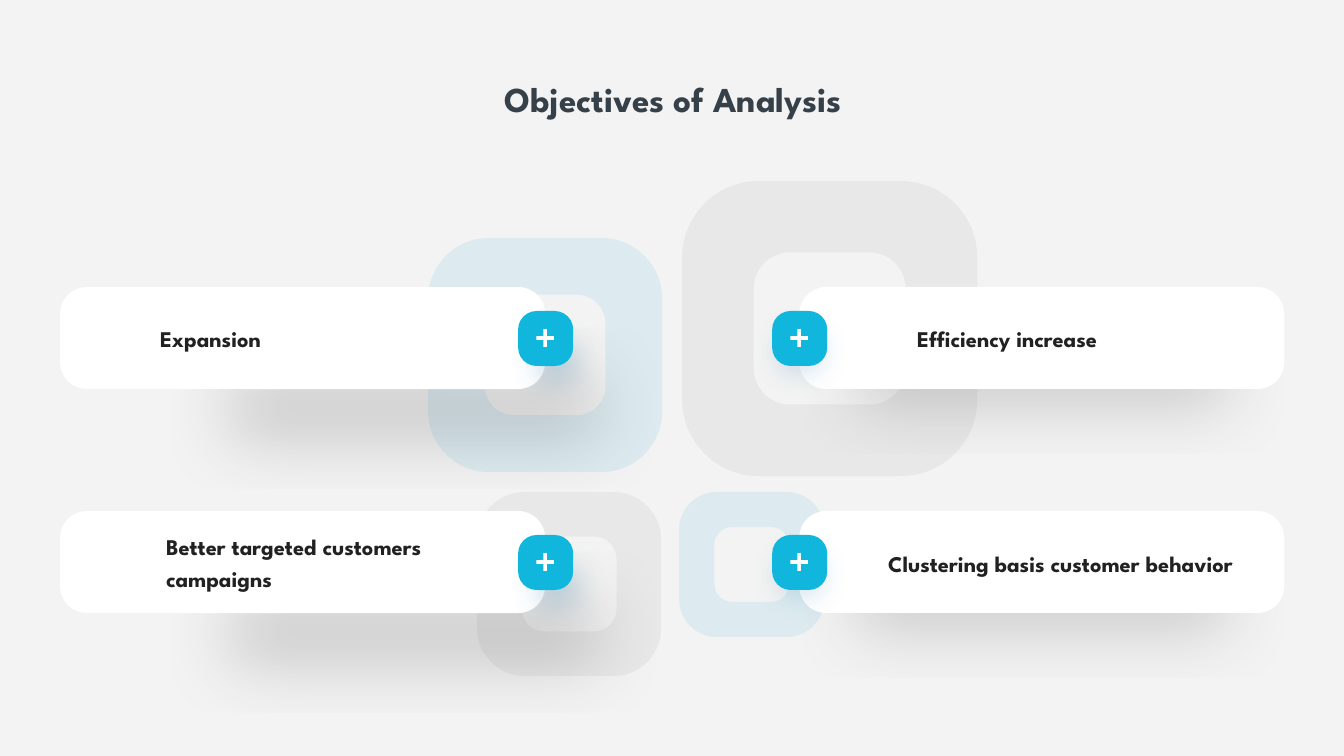
from lxml.etree import SubElement
from pptx import Presentation
from pptx.dml.color import RGBColor
from pptx.enum.shapes import MSO_SHAPE as SHAPE
from pptx.enum.text import MSO_ANCHOR as ANCHOR, MSO_AUTO_SIZE as AUTO, PP_ALIGN as ALIGN
from pptx.oxml.ns import qn
from pptx.util import Inches, Pt

PX = 914400 / 50.4
FONT = "League Spartan"
COLORS = {
    "background": "F3F3F3", "gray": "808080", "blue": "009DD9",
    "title": "364049", "text": "212121", "white": "FFFFFF",
    "button": "11B6DD", "card_shadow": "2D2D2D", "button_shadow": "2E7DAE",
}


def write_text(sp, text, size=32, color="text", align=ALIGN.LEFT,
               anchor=ANCHOR.MIDDLE, spacing=1.2, top=0):
    tf = sp.text_frame
    tf.word_wrap = True
    tf.auto_size = AUTO.NONE
    tf.vertical_anchor = anchor
    tf.margin_left = tf.margin_right = Inches(0.1)
    tf.margin_top, tf.margin_bottom = Inches(top), Inches(0.05)
    for i, line in enumerate(text.split("\n")):
        p = tf.add_paragraph() if i else tf.paragraphs[0]
        p.alignment = align
        p.line_spacing = spacing
        r = p.add_run()
        r.text = line
        r.font.name, r.font.size, r.font.bold = FONT, Pt(size), True
        r.font.color.rgb = RGBColor.from_string(COLORS[color])


def add_block(kind, box, adj, color, rotation, shadow=None):
    sp = s.shapes.add_shape(kind, *[round(v * PX) for v in box])
    sp.adjustments[0] = adj
    sp.rotation = rotation
    sp.fill.solid()
    sp.fill.fore_color.rgb = RGBColor.from_string(COLORS[color])
    sp.line.fill.background()
    sp.shadow.inherit = False
    if shadow:
        name, blur, dist, sx, sy = shadow
        effects = sp._element.spPr.find(qn("a:effectLst"))
        outer = SubElement(effects, qn("a:outerShdw"), blurRad=str(Pt(blur)),
                           dist=str(Pt(dist)), dir="5400000", sx=str(sx * 1000),
                           sy=str(sy * 1000), algn="ctr", rotWithShape="0")
        clr = SubElement(outer, qn("a:srgbClr"), val=COLORS[name])
        SubElement(clr, qn("a:alpha"), val="20000")


prs = Presentation()
prs.slide_width, prs.slide_height = Inches(26.66), Inches(15)
s = prs.slides.add_slide(prs.slide_layouts[5])
s.background.fill.solid()
s.background.fill.fore_color.rgb = RGBColor.from_string(COLORS["background"])

title = s.shapes.title
title.left, title.top, title.width, title.height = [
    round(v * PX) for v in (149, 57, 1048, 58)]
write_text(title, "Objectives of Analysis", size=50, color="title",
           align=ALIGN.CENTER, anchor=ANCHOR.TOP, spacing=Pt(85), top=0.05)

rings = [
    (682, 181, 295, "gray"),
    (679, 492, 145, "blue"),
    (477, 492, 184, "gray"),
    (428, 238, 234, "blue"),
]
for left, top, size, color in rings:
    contours = []
    for scale, rounding in ((1, 0.258), (0.515, 0.236)):
        side = size * scale
        x1, y1 = left + (size - side) / 2, top + (size - side) / 2
        x2, y2, radius = x1 + side, y1 + side, side * rounding
        points = [(x1, y1 + radius), (x1 + radius, y1), (x2 - radius, y1), (x2, y1 + radius),
                  (x2, y2 - radius), (x2 - radius, y2), (x1 + radius, y2), (x1, y2 - radius)]
        contours.append([(round(x * PX), round(y * PX)) for x, y in points])
    outer, inner = contours
    builder = s.shapes.build_freeform(*outer[0])
    builder.add_line_segments(outer[1:], close=True)
    builder.move_to(*inner[0])
    builder.add_line_segments(inner[1:], close=True)
    sp = builder.convert_to_shape()

    nodes = list(sp._element.iter(qn("a:pt")))
    spots = [(int(node.get("x")), int(node.get("y"))) for node in nodes]
    for i in range(1, len(nodes), 2):
        start, end = spots[i - 1], spots[i]
        corner = (start[0], end[1]) if i % 4 == 1 else (end[0], start[1])
        curve = nodes[i].getparent()
        curve.tag = qn("a:cubicBezTo")
        for x, y in (start, end):
            SubElement(curve, qn("a:pt"), x=str(round(x + 0.55 * (corner[0] - x))),
                       y=str(round(y + 0.55 * (corner[1] - y))))
        curve.append(nodes[i])

    sp.fill.solid()
    sp.fill.fore_color.rgb = RGBColor.from_string(COLORS[color])
    clr = sp._element.spPr.find(qn("a:solidFill")).find(qn("a:srgbClr"))
    SubElement(clr, qn("a:alpha"), val="9000")
    sp.line.fill.background()
    sp.shadow.inherit = False

columns = [(60, 518, 180), (799, 772, 0)]
rows = [287, 511]
objectives = [
    (0, 0, "Expansion", (155, 321, 134, 32)),
    (0, 1, "Better targeted customers\ncampaigns", (161, 529, 299, 64)),
    (1, 0, "Efficiency increase", (912, 321, 223, 32)),
    (1, 1, "Clustering basis customer behavior", (883, 546, 400, 32)),
]
for col, row, text, box in objectives:
    card_left, _, rotation = columns[col]
    add_block(SHAPE.ROUNDED_RECTANGLE, (card_left, rows[row], 485, 102), 0.264,
              "white", rotation, ("card_shadow", 100, 50, 77, 66))
    write_text(s.shapes.add_textbox(*[round(v * PX) for v in box]), text)

for _, button_left, rotation in columns:
    for card_top in rows:
        button_top = card_top + 24
        add_block(SHAPE.ROUNDED_RECTANGLE, (button_left, button_top, 55, 55), 0.335,
                  "button", rotation, ("button_shadow", 38, 18, 80, 80))
        add_block(SHAPE.MATH_PLUS, (button_left + 15, button_top + 15, 24, 24), 0.151,
                  "white", rotation)

prs.save("out.pptx")
